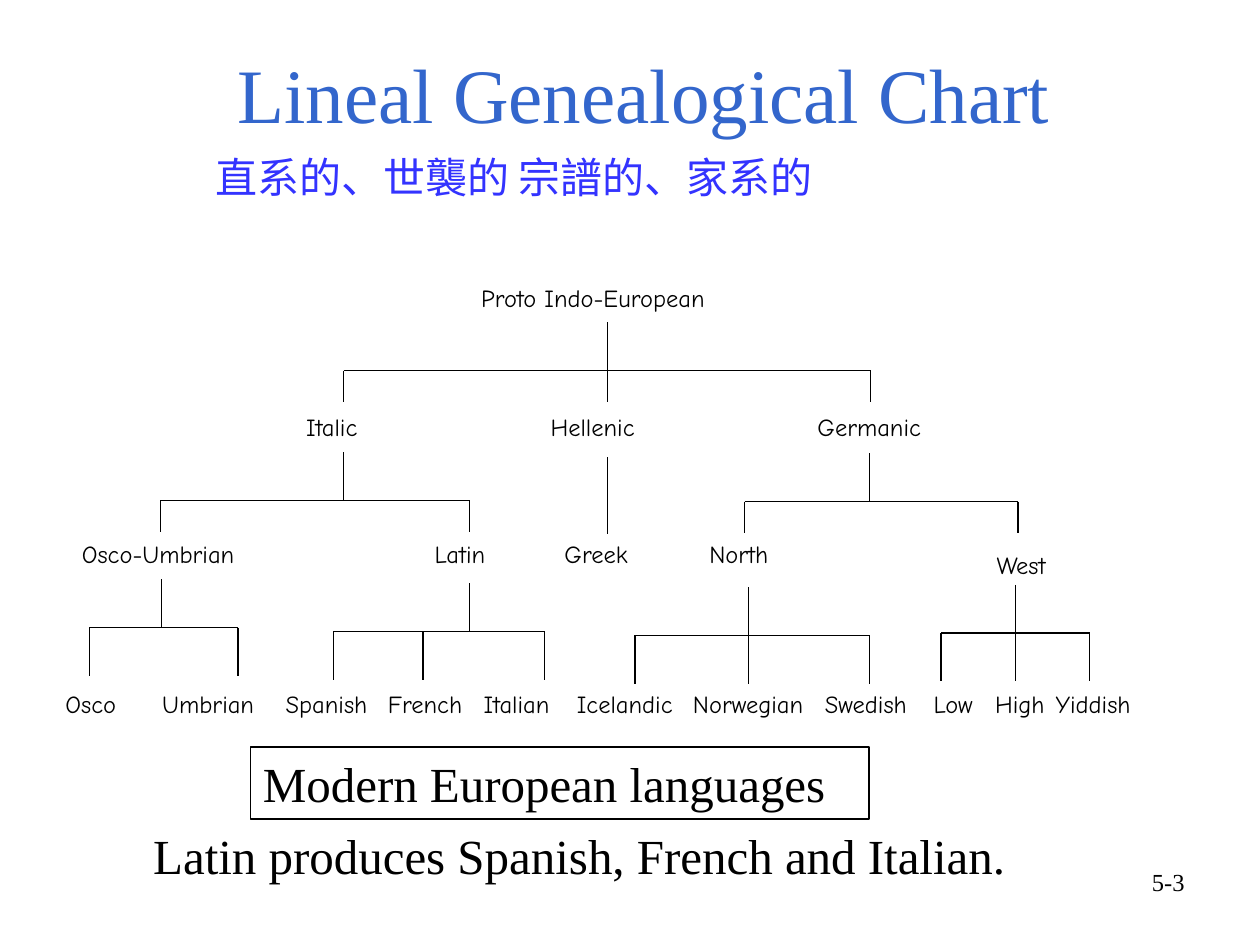
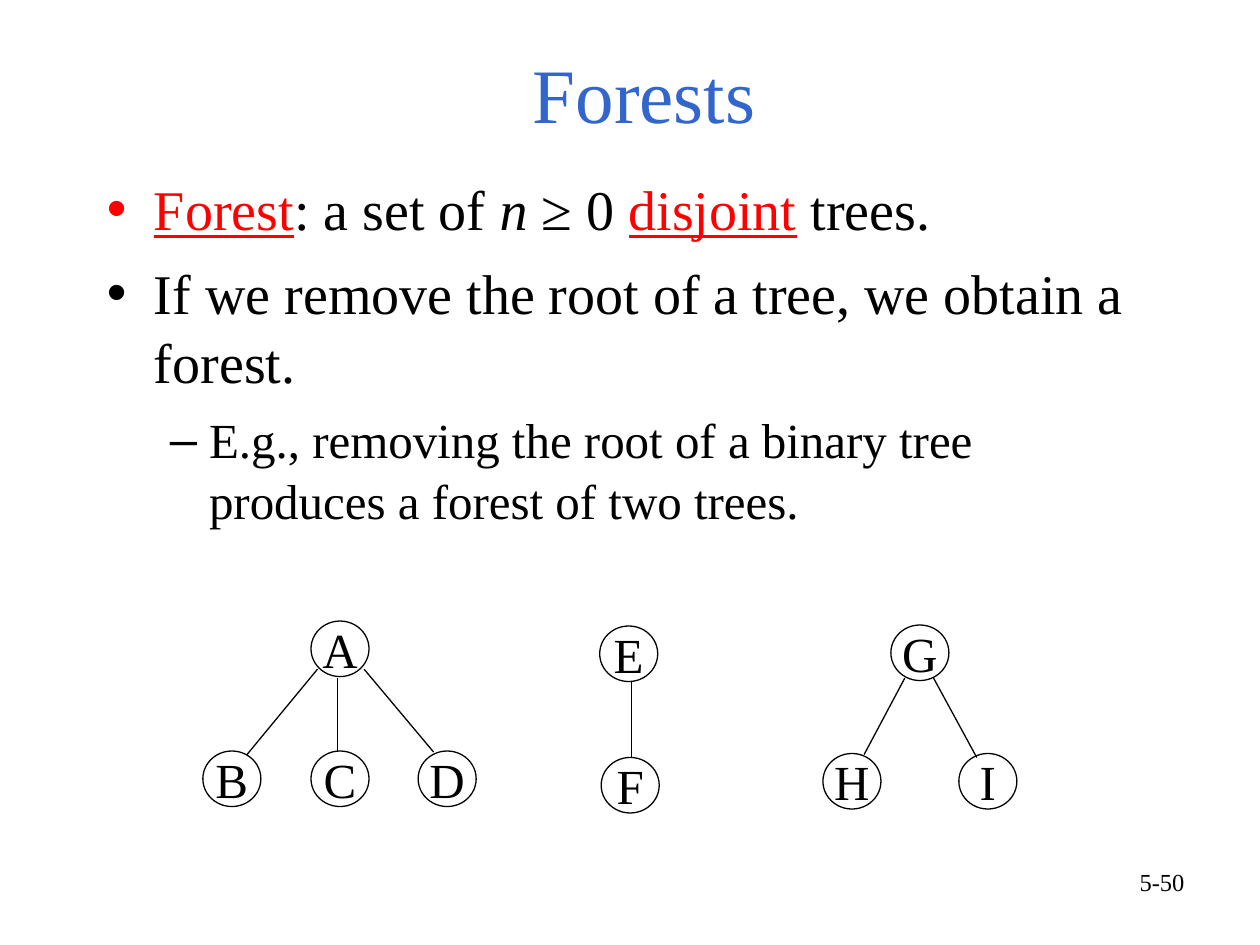
from lxml.etree import SubElement
from pptx import Presentation
from pptx.dml.color import RGBColor
from pptx.enum.shapes import MSO_CONNECTOR as Link, MSO_SHAPE as Shape
from pptx.enum.text import MSO_ANCHOR as Anchor, MSO_AUTO_SIZE as Fit, PP_ALIGN as Align
from pptx.oxml.ns import qn
from pptx.util import Cm, Pt

BLACK = RGBColor(0x00, 0x00, 0x00)
RED = RGBColor(0xFF, 0x00, 0x00)
TITLE_BLUE = RGBColor(0x33, 0x66, 0xCC)
GLOSS_BLUE = RGBColor(0x33, 0x33, 0xFF)
SERIF = "Times New Roman"
HAND = "Comic Neue"
CJK = "Noto Sans CJK SC"

TITLE_AREA = (1.9, 0.97, 22.17, 1.96)
BODY_AREA = (1.9, 3.33, 21.39, 13.21)
NUMBER_AREA = (18.21, 17.35, 5.92, 1.32)
TITLE_ONLY, TITLE_AND_BODY = 5, 1
LIST_LEVELS = (("•", 0.95, 0.95, 32, 8), ("–", 2.06, 0.79, 28, 7))

STEM = 0.97
LABEL_HEIGHT = 0.86
LANGUAGE_ROWS = (
    (5.59, (("Proto Indo-European", 9.45, 6.12),)),
    (8.18, (("Italic", 5.92, 2.26), ("Hellenic", 10.85, 2.62), ("Germanic", 16.23, 2.84))),
    (10.75, (("Osco-Umbrian", 1.4, 4.52), ("Latin", 8.51, 2.34), ("Greek", 11.13, 2.34),
             ("North", 14.05, 2.34))),
    (10.97, (("West", 19.84, 2.29),)),
    (13.77, (("Osco", 1.07, 1.96), ("Umbrian", 3.02, 2.64), ("Spanish", 5.51, 2.39),
             ("French", 7.57, 3), ("Italian", 9.5, 2.29), ("Icelandic", 11.38, 3.02),
             ("Norwegian", 13.72, 3.02), ("Swedish", 16.38, 2.64), ("Low", 18.57, 1.6),
             ("High", 19.81, 1.65), ("Yiddish", 21.03, 2.41))),
)
FAMILIES = (
    (12.24, 6.5, 0.64, (6.93, 12.24, 17.55)),
    (6.93, 9.12, 0.64, (3.23, 9.47)),
    (17.53, 9.14, 0.64, (15.01, 20.52)),
    (3.25, 11.68, STEM, (1.8, 4.8)),
    (9.47, 11.76, STEM, (6.72, 8.53, 10.98)),
    (15.09, 11.84, STEM, (12.8, 15.09, 17.53)),
    (20.47, 11.79, STEM, (18.97, 20.47, 21.97)),
)
GREEK_LINE = (12.24, 9.22, 12.24, 10.77)

NODE_SIZE = (1.17, 1.12)
NODES = {
    "A": (6.27, 12.52), "B": (4.09, 15.14), "C": (6.27, 15.14), "D": (8.43, 15.14),
    "E": (12.09, 12.62), "F": (12.12, 15.27),
    "G": (17.96, 12.6), "H": (16.59, 15.19), "I": (19.33, 15.19),
}
EDGES = (
    (6.4, 13.49, 4.98, 15.21), (6.81, 13.67, 6.81, 15.16), (7.34, 13.49, 8.74, 15.16),
    (12.73, 13.72, 12.73, 15.27),
    (18.24, 13.67, 17.42, 15.21), (18.82, 13.67, 19.69, 15.27),
)


def lengths(area):
    return [Cm(length) for length in area]


class Deck:
    def __init__(self):
        self.presentation = Presentation()
        self.presentation.slide_width = Cm(25.4)
        self.presentation.slide_height = Cm(19.05)
        self.slide = None

    def start(self, layout, heading, number):
        layouts = self.presentation.slide_layouts
        self.slide = self.presentation.slides.add_slide(layouts[layout])
        title = self.slide.shapes.title
        self.place(title, TITLE_AREA)
        title.text_frame.vertical_anchor = Anchor.BOTTOM
        self.fill_in(title.text_frame, heading, 44, color=TITLE_BLUE, align=Align.CENTER)
        self.text(number, NUMBER_AREA, 14, align=Align.RIGHT)

    def place(self, holder, area):
        holder.left, holder.top, holder.width, holder.height = lengths(area)
        holder.text_frame.auto_size = Fit.NONE

    def style(self, paragraph, size, face, color):
        font = paragraph.font
        font.size, font.name = Pt(size), face
        font.color.rgb = color
        defaults = paragraph._p.pPr.find(qn("a:defRPr"))
        SubElement(defaults, qn("a:ea"), typeface=face)

    def fill_in(self, frame, words, size, face=SERIF, color=BLACK, align=Align.LEFT):
        paragraph = frame.paragraphs[0]
        paragraph.text = words
        paragraph.alignment = align
        self.style(paragraph, size, face, color)

    def text(self, words, area, size, **look):
        frame = self.slide.shapes.add_textbox(*lengths(area)).text_frame
        frame.word_wrap = True
        self.fill_in(frame, words, size, **look)

    def outline(self, kind, words, area, anchor, align, wrap):
        shape = self.slide.shapes.add_shape(kind, *lengths(area))
        shape.shadow.inherit = False
        shape.fill.background()
        shape.line.color.rgb = BLACK
        shape.line.width = Pt(0.75)
        shape.text_frame.vertical_anchor = anchor
        shape.text_frame.word_wrap = wrap
        self.fill_in(shape.text_frame, words, 28, align=align)

    def line(self, *ends):
        line = self.slide.shapes.add_connector(Link.STRAIGHT, *lengths(ends))
        line.line.color.rgb = BLACK
        line.line.width = Pt(0.75)
        SubElement(line._element.spPr, qn("a:effectLst"))

    def family(self, parent, top, drop, children):
        bar = top + STEM
        self.line(parent, top, parent, bar)
        self.line(children[0], bar, children[-1], bar)
        for child in children:
            self.line(child, bar, child, bar + drop)

    def bullets(self, items):
        body = self.slide.placeholders[1]
        self.place(body, BODY_AREA)
        frame = body.text_frame
        for index, (level, bullet_color, runs) in enumerate(items):
            paragraph = frame.add_paragraph() if index else frame.paragraphs[0]
            mark, margin, hanging, size, before = LIST_LEVELS[level]
            paragraph.level = level
            paragraph.line_spacing = 1.04
            paragraph.space_before = Pt(before if index else 0)
            properties = paragraph._p.get_or_add_pPr()
            properties.set("marL", str(Cm(margin)))
            properties.set("indent", str(-Cm(hanging)))
            tint = SubElement(properties, qn("a:buClr"))
            SubElement(tint, qn("a:srgbClr"), val=str(bullet_color))
            SubElement(properties, qn("a:buChar"), char=mark)
            self.style(paragraph, size, SERIF, BLACK)
            for words, emphasis in runs:
                run = paragraph.add_run()
                run.text = words
                if emphasis == "term":
                    run.font.color.rgb = RED
                    run.font.underline = True
                elif emphasis == "variable":
                    run.font.italic = True


def genealogy(deck):
    deck.start(TITLE_ONLY, "Lineal Genealogical Chart", "5-3")
    deck.text("直系的、世襲的 宗譜的、家系的", (4.09, 2.92, 17.6, 1.27), 24,
              face=CJK, color=GLOSS_BLUE)
    for family in FAMILIES:
        deck.family(*family)
    deck.line(*GREEK_LINE)
    for top, languages in LANGUAGE_ROWS:
        for language, left, width in languages:
            deck.text(language, (left, top, width, LABEL_HEIGHT), 14, face=HAND)
    deck.outline(Shape.RECTANGLE, "Modern European languages", (5.05, 15.06, 12.47, 1.45),
                 Anchor.TOP, Align.LEFT, True)
    deck.text("Latin produces Spanish, French and Italian.", (2.84, 16.51, 19.38, 1.45), 28)


def forests(deck):
    deck.start(TITLE_AND_BODY, "Forests", "5-50")
    deck.bullets((
        (0, RED, (("Forest", "term"), (": a set of ", None), ("n", "variable"),
                  (" ≥ 0 ", None), ("disjoint", "term"), (" trees.", None))),
        (0, BLACK, (("If we remove the root of a tree, we obtain a forest.", None),)),
        (1, BLACK, (("E.g., removing the root of a binary tree produces a forest "
                     "of two trees.", None),)),
    ))
    for letter, corner in NODES.items():
        deck.outline(Shape.OVAL, letter, corner + NODE_SIZE,
                     Anchor.MIDDLE, Align.CENTER, False)
    for edge in EDGES:
        deck.line(*edge)


def main():
    deck = Deck()
    genealogy(deck)
    forests(deck)
    deck.presentation.save("out.pptx")


if __name__ == "__main__":
    main()
